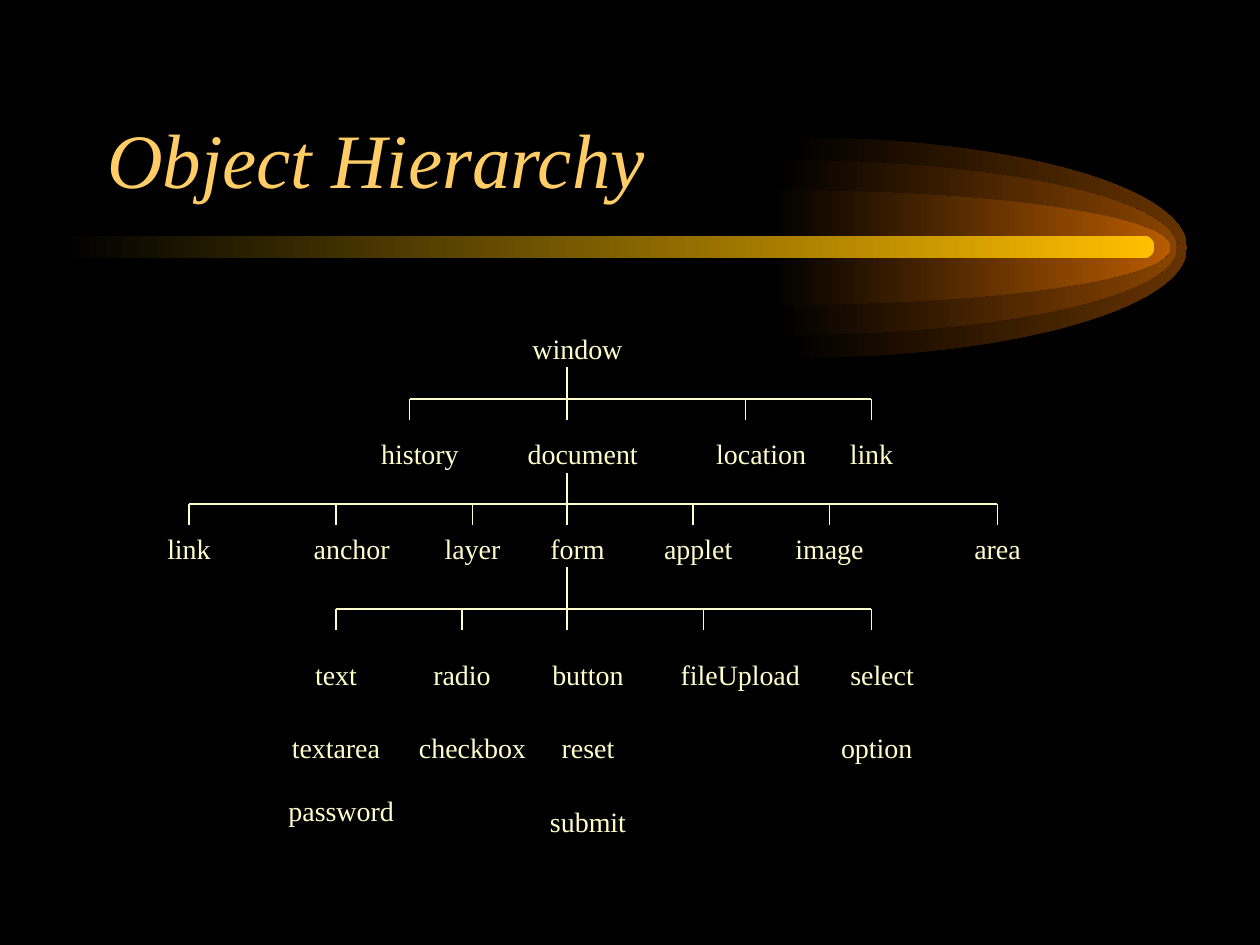
from lxml import etree
from pptx import Presentation
from pptx.dml.color import RGBColor
from pptx.enum.shapes import MSO_CONNECTOR, MSO_SHAPE
from pptx.enum.text import MSO_ANCHOR, MSO_AUTO_SIZE, PP_ALIGN
from pptx.oxml.ns import qn
from pptx.util import Inches, Pt

STRAIGHT = MSO_CONNECTOR.STRAIGHT
ROUNDED = MSO_SHAPE.ROUNDED_RECTANGLE
LEFT, CENTER = PP_ALIGN.LEFT, PP_ALIGN.CENTER
BOTTOM, TOP = MSO_ANCHOR.BOTTOM, MSO_ANCHOR.TOP
FIT_SHAPE, NO_FIT = MSO_AUTO_SIZE.SHAPE_TO_FIT_TEXT, MSO_AUTO_SIZE.NONE

FONT = "Times New Roman"
BLACK, GOLD, CREAM, AMBER = "000000", "FFCC66", "FFFFCC", "FFBF00"

# The slide is a grid of 120 columns by 90 rows
COLS, ROWS = 120, 90
LABEL_ROWS = 4.4

TITLE = "Object Hierarchy"

# Grid row: (label, first column, columns wide)
LABELS = {
    31: [("window", 46, 18)],
    41: [("history", 35, 10), ("document", 49, 13), ("location", 66, 13),
         ("link", 79, 8)],
    50: [("link", 14, 8), ("anchor", 28, 11), ("layer", 41, 8), ("form", 51, 8),
         ("applet", 62, 9), ("image", 74, 10), ("area", 91, 8)],
    62: [("text", 28, 8), ("radio", 40, 8), ("button", 51, 10),
         ("fileUpload", 63, 15), ("select", 79, 10)],
    69: [("textarea", 26, 12), ("checkbox", 38, 14), ("reset", 52, 8),
         ("option", 78, 11)],
    75: [("password", 26, 13)],
    76: [("submit", 51, 10)],
}

# (trunk top row, bar row, columns of the branches)
TRUNK = 54
BRANCHES = [
    (35, 38, [39, TRUNK, 71, 83]),
    (45, 48, [18, 32, 45, TRUNK, 66, 79, 95]),
    (54, 58, [32, 44, TRUNK, 67, 83]),
]
DROP = 2

# Comet flames in inches: (left, top, height, colour)
FLAMES = [
    (6.24, 1.09, 1.75, "663300"),
    (6.16, 1.27, 1.39, "894400"),
    (6.11, 1.51, 0.91, "B75B00"),
]
FLAME_W, FLAME_INSET = 3.18, 0.05
ARC = 0.55  # handle length of a quarter ellipse, as a share of its radius

prs = Presentation()
prs.slide_width, prs.slide_height = Inches(10), Inches(7.5)
CELL_W, CELL_H = prs.slide_width / COLS, prs.slide_height / ROWS


def rgb(value):
    return RGBColor.from_string(value)


def at(col, row):
    return round(col * CELL_W), round(row * CELL_H)


def fade(sp, color):
    """Fill from black at the left to the colour at the right, with no outline."""
    sp.shadow.inherit = False
    sp.line.fill.background()
    sp.fill.gradient()
    sp.fill.gradient_angle = 0
    for stop, value in zip(sp.fill.gradient_stops, (BLACK, color)):
        stop.color.rgb = rgb(value)


def bend(segment, *points):
    """Turn a straight path segment into a cubic curve through the points."""
    curve = etree.Element(qn("a:cubicBezTo"))
    for x, y in points:
        etree.SubElement(curve, qn("a:pt"), x=str(round(x)), y=str(round(y)))
    segment.getparent().replace(segment, curve)


def add_flame(s, left, top, height, color):
    x, y, w, h = (Inches(v) for v in (left, top, FLAME_W, height))
    base, mid = Inches(FLAME_INSET), h // 2
    builder = s.shapes.build_freeform(x + base, y)
    builder.add_line_segments([(x + w, y + mid), (x + base, y + h), (x, y + h),
                               (x + base, y + mid)], close=True)
    sp = builder.convert_to_shape()
    upper, lower = list(sp.element.iter(qn("a:lnTo")))[:2]
    reach, rise = base + ARC * (w - base), ARC * mid
    bend(upper, (reach, 0), (w, mid - rise), (w, mid))
    bend(lower, (w, mid + rise), (reach, h), (base, h))
    fade(sp, color)


def add_comet(s):
    for flame in FLAMES:
        add_flame(s, *flame)
    tail = s.shapes.add_shape(ROUNDED, Inches(0.5), Inches(1.87),
                              Inches(8.66), Inches(0.18))
    tail.adjustments[0] = 0.5
    fade(tail, AMBER)


def write(sp, text, size, color, align, anchor, fit, italic=False):
    tf = sp.text_frame
    tf.word_wrap, tf.auto_size, tf.vertical_anchor = True, fit, anchor
    p = tf.paragraphs[0]
    p.alignment = align
    r = p.add_run()
    r.text = text
    r.font.name, r.font.size, r.font.italic = FONT, Pt(size), italic
    r.font.color.rgb = rgb(color)


def add_title(s):
    sp = s.shapes.title
    sp.left, sp.top = at(9, 5)
    sp.width, sp.height = at(102, 15)
    write(sp, TITLE, 44, GOLD, LEFT, BOTTOM, NO_FIT, italic=True)
    s.shapes.element.append(sp.element)  # in front of the comet


def add_line(s, start, end):
    line = s.shapes.add_connector(STRAIGHT, *at(*start), *at(*end))
    line.line.color.rgb = rgb(CREAM)
    line.line.width = Pt(1)
    etree.SubElement(line.element.spPr, qn("a:effectLst"))


def add_branches(s):
    for top, bar, cols in BRANCHES:
        add_line(s, (cols[0], bar), (cols[-1], bar))
        add_line(s, (TRUNK, top), (TRUNK, bar))
        for col in cols:
            add_line(s, (col, bar), (col, bar + DROP))


def add_labels(s):
    for row, labels in LABELS.items():
        for text, col, width in labels:
            sp = s.shapes.add_textbox(*at(col, row), *at(width, LABEL_ROWS))
            write(sp, text, 16, CREAM, CENTER, TOP, FIT_SHAPE)


s = prs.slides.add_slide(prs.slide_layouts[5])
s.background.fill.solid()
s.background.fill.fore_color.rgb = rgb(BLACK)
add_comet(s)
add_title(s)
add_labels(s)
add_branches(s)
prs.save("out.pptx")
